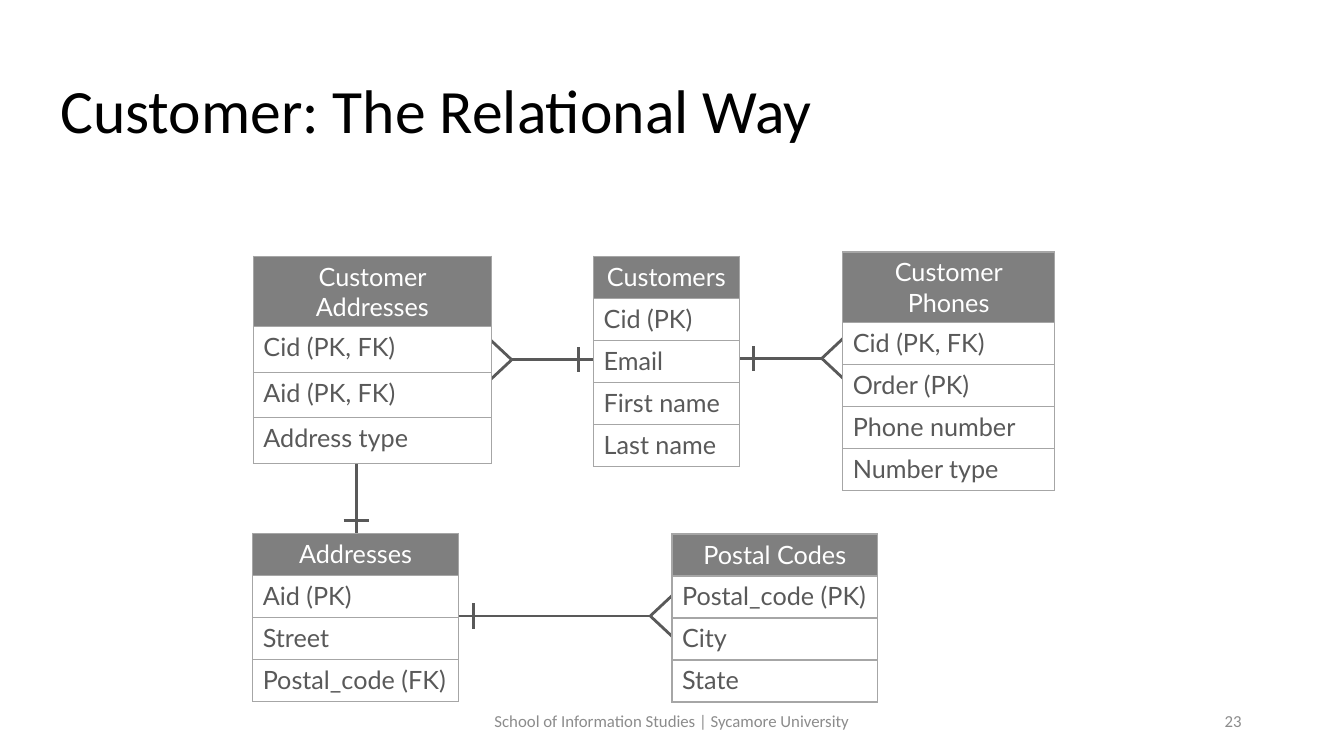
from dataclasses import dataclass

from lxml import etree
from pptx import Presentation
from pptx import util as u
from pptx.dml.color import RGBColor
from pptx.enum import shapes, text
from pptx.oxml import ns


@dataclass(frozen=True)
class Theme:
    title_font: str = "Calibri"
    entity_font: str = "Lato"
    title_size: float = 44
    entity_size: float = 18
    footer_size: float = 12
    title: str = "000000"
    footer: str = "8C8C8C"
    header_fill: str = "7F7F7F"
    header_text: str = "FFFFFF"
    row_fill: str = "FFFFFF"
    ink: str = "595959"
    border: str = "A6A6A6"
    border_width: float = 1
    link_width: float = 2


@dataclass(frozen=True)
class Entity:
    name: str
    left: float
    top: float
    width: float
    fields: tuple[str, ...]
    row_height: float = 30


@dataclass(frozen=True)
class Link:
    """Relationship from its far end to the table on its "one" side."""
    start: tuple[float, float]
    one: tuple[float, float]
    forked: bool = True


@dataclass(frozen=True)
class Caption:
    words: str
    box: tuple[float, float, float, float]
    size: float
    color: str
    align: text.PP_ALIGN
    line_spacing: float = 1.0


THEME = Theme()
TICK_GAP, TICK_HALF = 10, 9
FORK_LENGTH, FORK_HALF = 15.5, 14.5

ENTITIES = (
    Entity("Customers", 424, 183, 104,
           ("Cid (PK)", "Email", "First name", "Last name")),
    Entity("Customer Phones", 602, 180, 151.2,
           ("Cid (PK, FK)", "Order (PK)", "Phone number", "Number type")),
    Entity("Customer Addresses", 181, 183, 170,
           ("Cid (PK, FK)", "Aid (PK, FK)", "Address type"), 32.5),
    Entity("Addresses", 180.5, 381, 147,
           ("Aid (PK)", "Street", "Postal_code (FK)")),
    Entity("Postal Codes", 480, 381.5, 147,
           ("Postal_code (PK)", "City", "State")),
)

LINKS = (
    Link((365.5, 257), (423.5, 257)),
    Link((587, 256), (528, 256)),
    Link((464.5, 440), (328, 440)),
    Link((254.5, 326), (254.5, 382), forked=False),
)

CAPTIONS = (
    Caption("Customer: The Relational Way", (36, 29, 885, 104),
            THEME.title_size, THEME.title, text.PP_ALIGN.LEFT, 0.9),
    Caption("School of Information Studies | Sycamore University",
            (318, 500.5, 324, 29), THEME.footer_size, THEME.footer,
            text.PP_ALIGN.CENTER),
    Caption("23", (678, 500.5, 216, 29), THEME.footer_size, THEME.footer,
            text.PP_ALIGN.RIGHT),
)


def style(paragraph, font: str, size: float, color: str, align) -> None:
    paragraph.alignment = align
    paragraph.font.name = font
    paragraph.font.size = u.Pt(size)
    paragraph.font.color.rgb = RGBColor.from_string(color)


def draw_caption(slide, caption: Caption) -> None:
    frame = slide.shapes.add_textbox(*map(u.Pt, caption.box)).text_frame
    frame.word_wrap = True
    frame.vertical_anchor = text.MSO_ANCHOR.MIDDLE
    paragraph = frame.paragraphs[0]
    paragraph.text = caption.words
    paragraph.line_spacing = caption.line_spacing
    style(paragraph, THEME.title_font, caption.size, caption.color,
          caption.align)


def add_borders(cell) -> None:
    properties = cell._tc.get_or_add_tcPr()
    for side in ("a:lnL", "a:lnR", "a:lnT", "a:lnB"):
        edge = etree.SubElement(properties, ns.qn(side),
                                w=str(u.Pt(THEME.border_width)))
        fill = etree.SubElement(edge, ns.qn("a:solidFill"))
        etree.SubElement(fill, ns.qn("a:srgbClr"), val=THEME.border)


def draw_entity(slide, entity: Entity) -> None:
    lines = (entity.name, *entity.fields)
    table = slide.shapes.add_table(
        len(lines), 1, u.Pt(entity.left), u.Pt(entity.top),
        u.Pt(entity.width), u.Pt(entity.row_height * len(lines))).table
    table.first_row = table.horz_banding = False
    for index, words in enumerate(lines):
        is_header = index == 0
        cell = table.cell(index, 0)
        add_borders(cell)
        cell.fill.solid()
        cell.fill.fore_color.rgb = RGBColor.from_string(
            THEME.header_fill if is_header else THEME.row_fill)
        cell.text = words
        style(cell.text_frame.paragraphs[0], THEME.entity_font,
              THEME.entity_size,
              THEME.header_text if is_header else THEME.ink,
              text.PP_ALIGN.CENTER if is_header else text.PP_ALIGN.LEFT)


def draw_line(slide, x1: float, y1: float, x2: float, y2: float) -> None:
    line = slide.shapes.add_connector(
        shapes.MSO_CONNECTOR.STRAIGHT, *map(u.Pt, (x1, y1, x2, y2)))
    line.line.color.rgb = RGBColor.from_string(THEME.ink)
    line.line.width = u.Pt(THEME.link_width)
    etree.SubElement(line._element.spPr, ns.qn("a:effectLst"))


def draw_link(slide, link: Link) -> None:
    (x1, y1), (x2, y2) = link.start, link.one
    length = abs(x2 - x1) + abs(y2 - y1)
    # Unit direction of the stem, which is horizontal or vertical
    dx, dy = (x2 - x1) / length, (y2 - y1) / length
    draw_line(slide, x1, y1, x2, y2)
    # Tick across the "one" end
    tick_x, tick_y = x2 - dx * TICK_GAP, y2 - dy * TICK_GAP
    draw_line(slide, tick_x - dy * TICK_HALF, tick_y - dx * TICK_HALF,
              tick_x + dy * TICK_HALF, tick_y + dx * TICK_HALF)
    # Crow's foot at the "many" end
    if link.forked:
        for side in (-FORK_HALF, FORK_HALF):
            draw_line(slide, x1, y1, x1 - dx * FORK_LENGTH + dy * side,
                      y1 - dy * FORK_LENGTH + dx * side)


def main() -> None:
    deck = Presentation()
    deck.slide_width, deck.slide_height = u.Pt(960), u.Pt(540)
    slide = deck.slides.add_slide(deck.slide_layouts[6])
    # Title and footer
    for caption in CAPTIONS:
        draw_caption(slide, caption)
    # Relationships lie behind the tables
    for link in LINKS:
        draw_link(slide, link)
    for entity in ENTITIES:
        draw_entity(slide, entity)
    deck.save("out.pptx")


if __name__ == "__main__":
    main()
